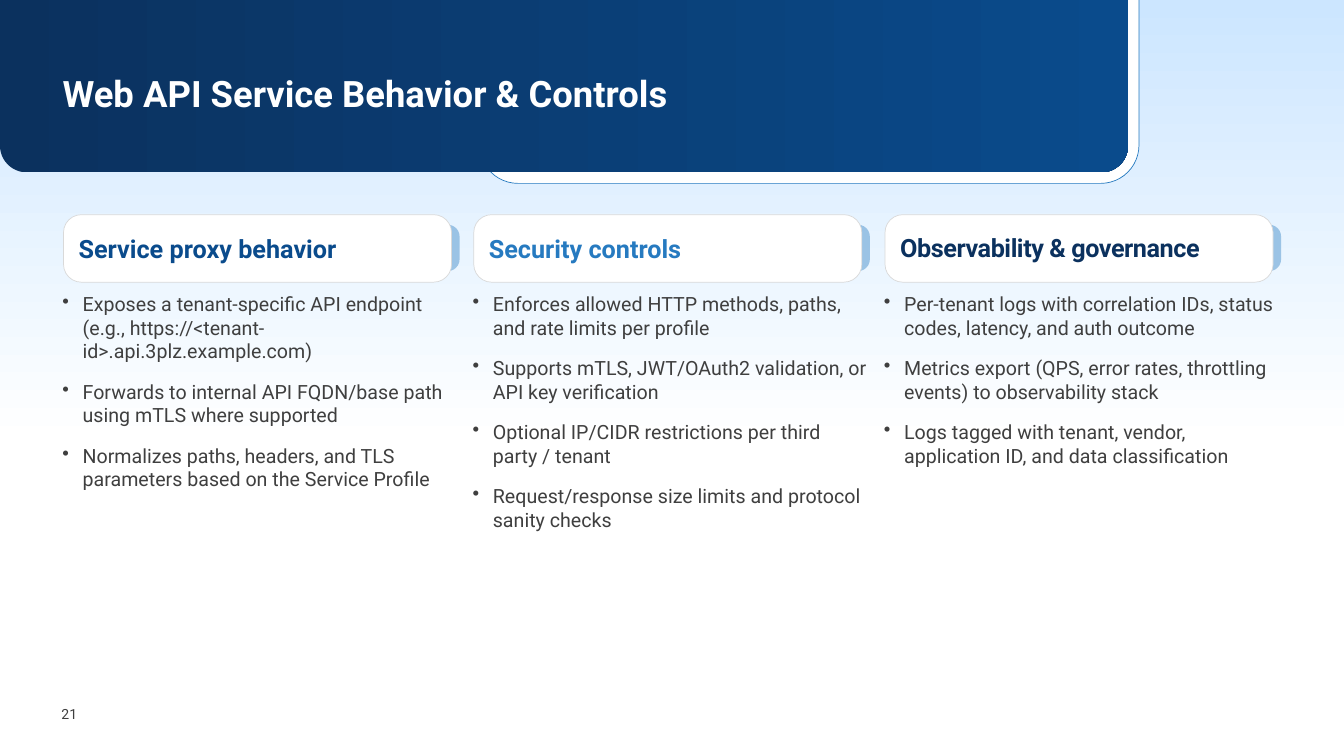
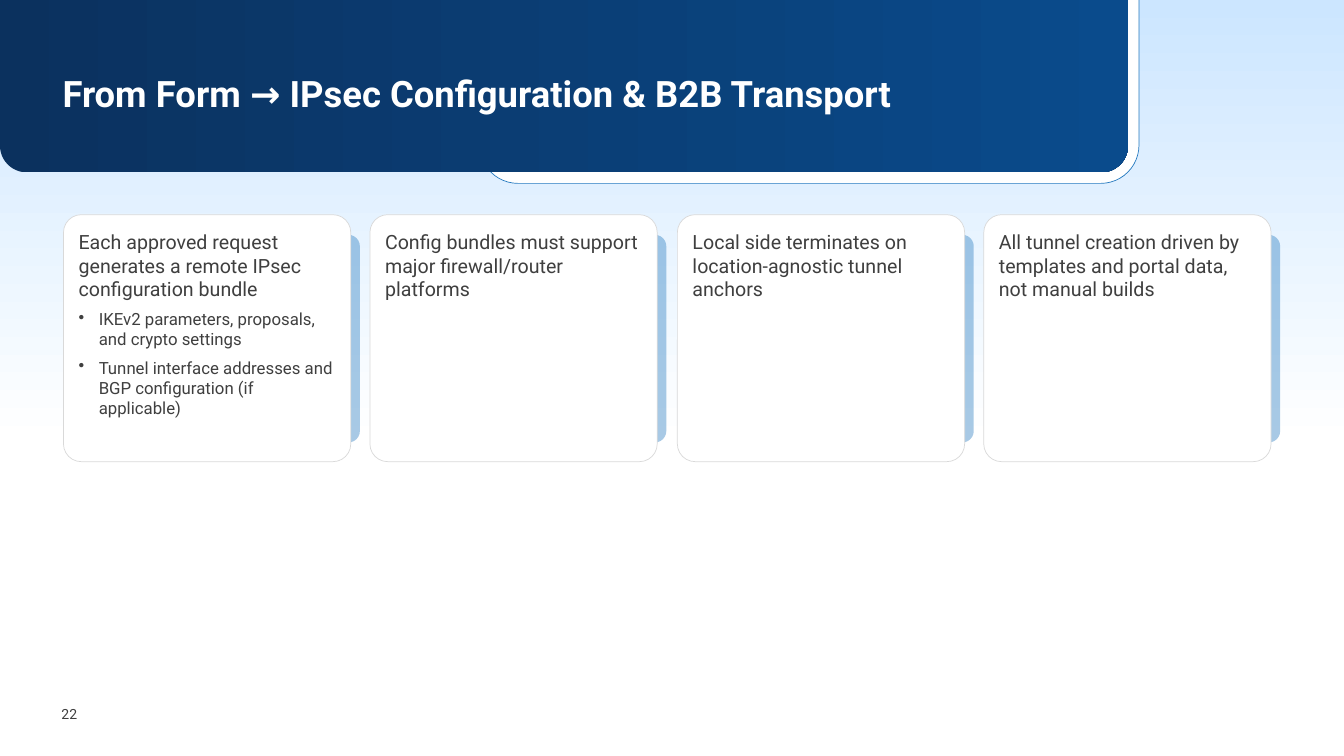
from lxml.etree import SubElement
from pptx import Presentation
from pptx.dml.color import RGBColor
from pptx.enum.shapes import MSO_SHAPE
from pptx.enum.text import MSO_ANCHOR, MSO_AUTO_SIZE, PP_ALIGN
from pptx.oxml.ns import qn
from pptx.util import Pt

PX = 9144
FONT = "Roboto"
COLORS = {
    "sky": "CCE6FF",
    "white": "FFFFFF",
    "navy": "0B315E",
    "blue": "0A4B8C",
    "accent": "267AC0",
    "border": "D9D9D9",
    "text": "3F3F3F",
}
LEFT, CARD_TOP = 63, 213
HEADING = {"size": (385, 67), "radius": 0.265, "tab": (323, 10, 70, 46), "tab_radius": 0.254}
PANEL = {"size": (285, 245), "radius": 0.072, "tab": (242, 20, 52, 206), "tab_radius": 0.218}

COLUMNS = [
    ("Service proxy behavior", "blue", [
        "Exposes a tenant-specific API endpoint (e.g., https://<tenant-id>.api.3plz.example.com)",
        "Forwards to internal API FQDN/base path using mTLS where supported",
        "Normalizes paths, headers, and TLS parameters based on the Service Profile",
    ]),
    ("Security controls", "accent", [
        "Enforces allowed HTTP methods, paths, and rate limits per profile",
        "Supports mTLS, JWT/OAuth2 validation, or API key verification",
        "Optional IP/CIDR restrictions per third party / tenant",
        "Request/response size limits and protocol sanity checks",
    ]),
    ("Observability & governance", "navy", [
        "Per-tenant logs with correlation IDs, status codes, latency, and auth outcome",
        "Metrics export (QPS, error rates, throttling events) to observability stack",
        "Logs tagged with tenant, vendor, application ID, and data classification",
    ]),
]
PANELS = [
    ("Each approved request generates a remote IPsec configuration bundle", [
        "IKEv2 parameters, proposals, and crypto settings",
        "Tunnel interface addresses and BGP configuration (if applicable)",
    ]),
    ("Config bundles must support major firewall/router platforms", []),
    ("Local side terminates on location-agnostic tunnel anchors", []),
    ("All tunnel creation driven by templates and portal data, not manual builds", []),
]


def color(name):
    return RGBColor.from_string(COLORS[name])


def add_block(slide, preset, box, fill=None, line=None, adjustments=()):
    block = slide.shapes.add_shape(preset, *(v * PX for v in box))
    block.shadow.inherit = False
    for index, value in enumerate(adjustments):
        block.adjustments[index] = value
    if fill:
        block.fill.solid()
        block.fill.fore_color.rgb = color(fill)
    if line:
        block.line.color.rgb = color(line)
        block.line.width = Pt(0.5)
    else:
        block.line.fill.background()
    return block


def set_gradient(block, start, end, angle):
    block.fill.gradient()
    block.fill.gradient_angle = angle
    for stop, name, position in zip(block.fill.gradient_stops, (start, end), (0, 1)):
        stop.color.rgb = color(name)
        stop.position = position


def set_opacity(block, percent):
    tint = block.fill._xPr.find(qn("a:solidFill")).find(qn("a:srgbClr"))
    SubElement(tint, qn("a:alpha"), val=str(percent * 1000))


def set_frame(frame, anchor=MSO_ANCHOR.TOP, insets=(0, 0, 0, 0)):
    frame.word_wrap = True
    frame.auto_size = MSO_AUTO_SIZE.NONE
    frame.vertical_anchor = anchor
    (frame.margin_left, frame.margin_top,
     frame.margin_right, frame.margin_bottom) = (v * PX for v in insets)


def add_text(frame, text, size, ink="text", bold=False, bullet=False, before=0, after=0):
    first = not frame.text
    paragraph = frame.paragraphs[0] if first else frame.add_paragraph()
    paragraph.text = text
    paragraph.alignment = PP_ALIGN.LEFT
    if not first:
        paragraph.space_before = Pt(before)
    paragraph.space_after = Pt(after)
    if bullet:
        properties = paragraph._p.get_or_add_pPr()
        properties.set("marL", str(20 * PX))
        properties.set("indent", str(-20 * PX))
        SubElement(properties, qn("a:buChar"), char="•")
    font = paragraph.font
    font.name, font.size, font.bold = FONT, Pt(size), bold
    font.color.rgb = color(ink)
    return paragraph


def add_text_box(slide, box):
    return slide.shapes.add_textbox(*(v * PX for v in box)).text_frame


def add_card(slide, x, style):
    dx, dy, width, height = style["tab"]
    tab = add_block(slide, MSO_SHAPE.ROUNDED_RECTANGLE, (x + dx, CARD_TOP + dy, width, height),
                    "accent", adjustments=[style["tab_radius"]])
    set_opacity(tab, 40)
    card = add_block(slide, MSO_SHAPE.ROUNDED_RECTANGLE, (x, CARD_TOP, *style["size"]),
                     "white", "border", [style["radius"]])
    return card.text_frame


def add_titled_slide(prs, heading, number):
    slide = prs.slides.add_slide(prs.slide_layouts[5])
    sky = add_block(slide, MSO_SHAPE.RECTANGLE, (0, 0, 1334, 440))
    set_gradient(sky, "sky", "white", 270)
    add_block(slide, MSO_SHAPE.ROUND_2_SAME_RECTANGLE, (476, -4, 654, 186),
              "white", "accent", (0, 0.204))
    band = add_block(slide, MSO_SHAPE.ROUND_2_SAME_RECTANGLE, (0, 0, 1119, 171),
                     adjustments=(0, 0.155))
    set_gradient(band, "navy", "blue", 0)

    title = slide.shapes.title
    title._element.getparent().append(title._element)
    title.left, title.top, title.width, title.height = (v * PX for v in (62, 75, 1063, 78))
    set_frame(title.text_frame)
    add_text(title.text_frame, heading, 26, "white", bold=True).line_spacing = 0.9

    page = add_text_box(slide, (61, 696, 39, 25))
    set_frame(page, MSO_ANCHOR.MIDDLE, (0, 5, 0, 5))
    add_text(page, str(number), 10)
    return slide


def add_column(slide, x, heading, ink, items):
    label = add_card(slide, x, HEADING)
    tight = ink == "navy"
    set_frame(label, MSO_ANCHOR.MIDDLE, (10, 20, 0 if tight else 10, 20))
    paragraph = add_text(label, heading, 18, ink, bold=True, after=6)
    if tight:
        paragraph.line_spacing = Pt(20)
        paragraph._p.pPr.find(qn("a:defRPr")).set("spc", "-30")
    body = add_text_box(slide, (x - 1, 290, 393, 339))
    set_frame(body)
    for item in items:
        add_text(body, item, 14, bullet=True, before=6, after=6)


def add_panel(slide, x, statement, details):
    frame = add_card(slide, x, PANEL)
    set_frame(frame, insets=(10, 10, 10, 10))
    add_text(frame, statement, 14, after=6)
    for detail in details:
        add_text(frame, detail, 12, bullet=True, after=6)


def main():
    prs = Presentation()
    prs.slide_width, prs.slide_height = 12192000, 750 * PX

    controls = add_titled_slide(prs, "Web API Service Behavior & Controls", 21)
    for index, column in enumerate(COLUMNS):
        add_column(controls, LEFT + index * 815 // 2, *column)

    transport = add_titled_slide(prs, "From Form → IPsec Configuration & B2B Transport", 22)
    for index, panel in enumerate(PANELS):
        add_panel(transport, LEFT + index * 609 // 2, *panel)

    prs.save("out.pptx")


if __name__ == "__main__":
    main()
